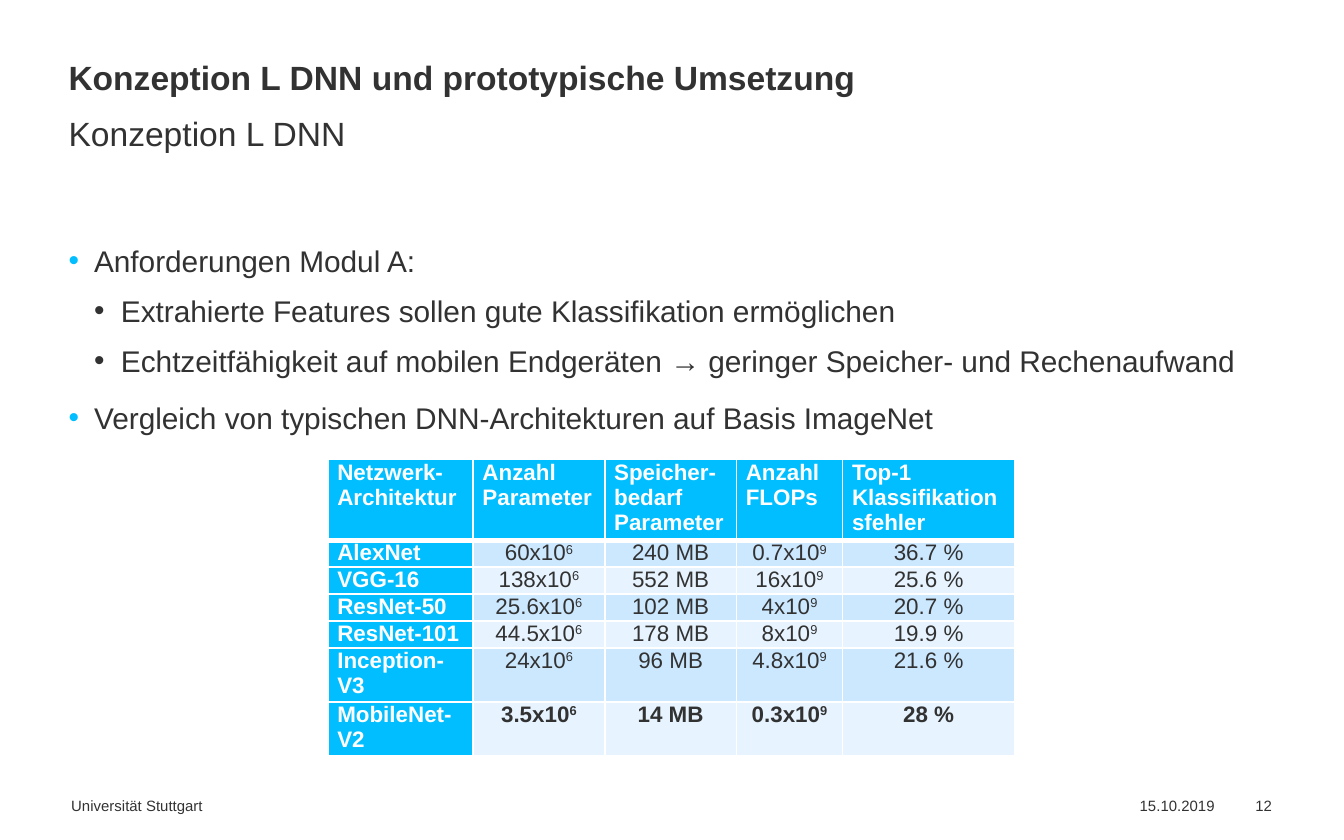
"""Builds the slide on network architectures for the L DNN concept."""
from lxml.etree import SubElement
from pptx import Presentation
from pptx.dml.color import RGBColor
from pptx.enum.text import MSO_ANCHOR, PP_ALIGN
from pptx.oxml.ns import qn
from pptx.util import Inches, Pt

DARK, CYAN, WHITE = "323232", "00BEFF", "FFFFFF"
BANDS = ["CCE8FF", "E7F4FF"]
LEFT, WIDTH = 0.51, 8.98
BULLETS = [
    (0, "Anforderungen Modul A:"),
    (1, "Extrahierte Features sollen gute Klassifikation ermöglichen"),
    (1, "Echtzeitfähigkeit auf mobilen Endgeräten → geringer Speicher- und Rechenaufwand"),
    (0, "Vergleich von typischen DNN-Architekturen auf Basis ImageNet"),
]
LEVELS = [(0.19, 0.19, 7.5, CYAN), (0.39, 0.2, 3.8, DARK)]
COLUMNS = [1.08, 0.98, 0.98, 0.79, 1.28]
HEIGHTS = [0.6, 0.2, 0.2, 0.2, 0.2, 0.4, 0.4]
ROWS = [
    ["Netzwerk-Architektur", "Anzahl Parameter", "Speicher-bedarf\nParameter",
     "Anzahl\nFLOPs", "Top-1 Klassifikationsfehler"],
    ["AlexNet", "60x10^6", "240 MB", "0.7x10^9", "36.7 %"],
    ["VGG-16", "138x10^6", "552 MB", "16x10^9", "25.6 %"],
    ["ResNet-50", "25.6x10^6", "102 MB", "4x10^9", "20.7 %"],
    ["ResNet-101", "44.5x10^6", "178 MB", "8x10^9", "19.9 %"],
    ["Inception-V3", "24x10^6", "96 MB", "4.8x10^9", "21.6 %"],
    ["MobileNet-V2", "3.5x10^6", "14 MB", "0.3x10^9", "28 %"],
]


def rgb(color):
    """Turn a hex string into a colour."""
    return RGBColor.from_string(color)


def add_run(p, text, size, color=DARK, bold=False):
    """Add a formatted run to a paragraph."""
    r = p.add_run()
    r.text = text
    r.font.name, r.font.size, r.font.bold = "Arial", Pt(size), bold
    r.font.color.rgb = rgb(color)
    return r


def add_frame(slide, left, top, width, height):
    """Add a wrapping text box without insets and return its text frame."""
    sp = slide.shapes.add_textbox(*map(Inches, (left, top, width, height)))
    tf = sp.text_frame
    tf.word_wrap = True
    tf.margin_left = tf.margin_top = tf.margin_right = tf.margin_bottom = 0
    return tf


def add_line(slide, text, box, size, bold=False, spacing=None, anchor=MSO_ANCHOR.TOP):
    """Add a text box holding one line of text."""
    tf = add_frame(slide, *box)
    tf.vertical_anchor = anchor
    p = tf.paragraphs[0]
    p.line_spacing = spacing
    add_run(p, text, size, bold=bold)


def add_bullets(slide, items, box):
    """Add a two-level bullet list."""
    tf = add_frame(slide, *box)
    for i, (level, text) in enumerate(items):
        p = tf.add_paragraph() if i else tf.paragraphs[0]
        margin, hanging, before, color = LEVELS[level]
        p.level = level
        p.line_spacing = 1.2
        p.space_before = Pt(before if i else 0)
        pPr = p._p.get_or_add_pPr()
        pPr.set("marL", str(Inches(margin)))
        pPr.set("indent", str(-Inches(hanging)))
        SubElement(SubElement(pPr, qn("a:buClr")), qn("a:srgbClr"), val=color)
        SubElement(pPr, qn("a:buFont"), typeface="Arial")
        SubElement(pPr, qn("a:buChar"), char="•")
        add_run(p, text, 16)


def set_borders(cell, top, bottom):
    """Give a cell white borders, with the top and bottom widths in points."""
    tcPr = cell._tc.get_or_add_tcPr()
    for side, width in (("L", 1), ("R", 1), ("T", top), ("B", bottom)):
        ln = SubElement(tcPr, qn(f"a:ln{side}"), w=str(Pt(width)))
        SubElement(SubElement(ln, qn("a:solidFill")), qn("a:srgbClr"), val=WHITE)


def fill_cell(cell, text, fill, color, bold, align):
    """Fill a cell with text, where ^ starts a superscript."""
    cell.margin_left = cell.margin_right = Inches(0.07)
    cell.margin_top = cell.margin_bottom = 0
    cell.fill.solid()
    cell.fill.fore_color.rgb = rgb(fill)
    tf = cell.text_frame
    for i, line in enumerate(text.split("\n")):
        p = tf.add_paragraph() if i else tf.paragraphs[0]
        p.alignment = align
        base, _, exponent = line.partition("^")
        add_run(p, base, 12, color, bold)
        if exponent:
            r = add_run(p, exponent, 12, color, bold)
            r._r.get_or_add_rPr().set("baseline", "30000")


def add_comparison(slide, left, top):
    """Add the table that compares the architectures."""
    size = map(Inches, (left, top, sum(COLUMNS), sum(HEIGHTS)))
    table = slide.shapes.add_table(len(ROWS), len(COLUMNS), *size).table
    for column, width in zip(table.columns, COLUMNS):
        column.width = Inches(width)
    for i, (row, height) in enumerate(zip(ROWS, HEIGHTS)):
        table.rows[i].height = Inches(height)
        for j, text in enumerate(row):
            cell = table.cell(i, j)
            set_borders(cell, 3 if i == 1 else 1, 3 if i == 0 else 1)
            if i == 0 or j == 0:
                fill_cell(cell, text, CYAN, WHITE, True, PP_ALIGN.JUSTIFY)
            else:
                last = i == len(ROWS) - 1
                fill_cell(cell, text, BANDS[(i - 1) % 2], DARK, last, PP_ALIGN.CENTER)


def main():
    """Build and save the slide."""
    prs = Presentation()
    prs.slide_width, prs.slide_height = Inches(10), Inches(6.25)
    slide = prs.slides.add_slide(prs.slide_layouts[6])
    add_line(slide, "Konzeption L DNN und prototypische Umsetzung",
             (LEFT, 0.43, WIDTH, 0.3), 18, True, 0.9, MSO_ANCHOR.BOTTOM)
    add_line(slide, "Konzeption L DNN", (LEFT, 0.78, WIDTH, 0.3), 18, spacing=1.2)
    add_bullets(slide, BULLETS, (LEFT, 1.75, WIDTH, 3.82))
    add_comparison(slide, 2.44, 3.42)
    for text, left, width in (("Universität Stuttgart", 0.53, 6.61),
                              ("15.10.2019", 8.48, 0.58), ("12", 9.34, 0.24)):
        add_line(slide, text, (left, 5.93, width, 0.14), 8)
    prs.save("out.pptx")


if __name__ == "__main__":
    main()
